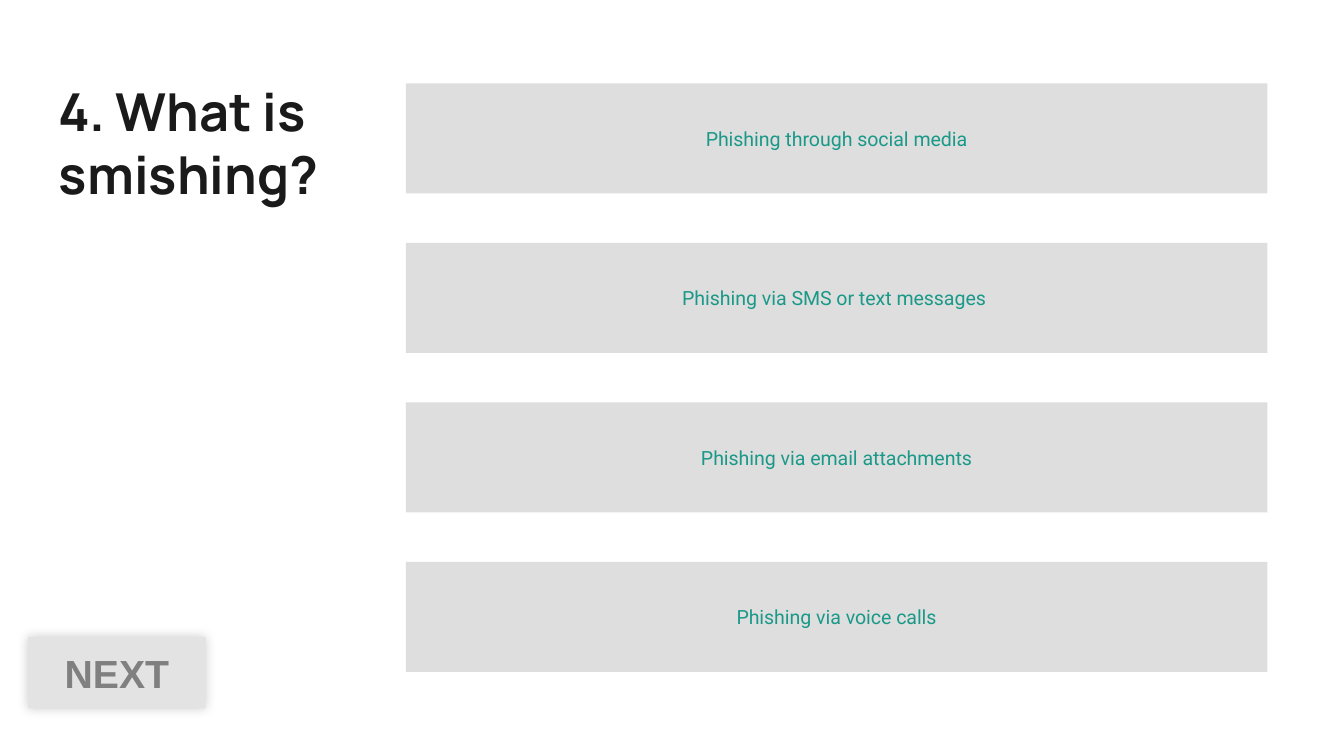
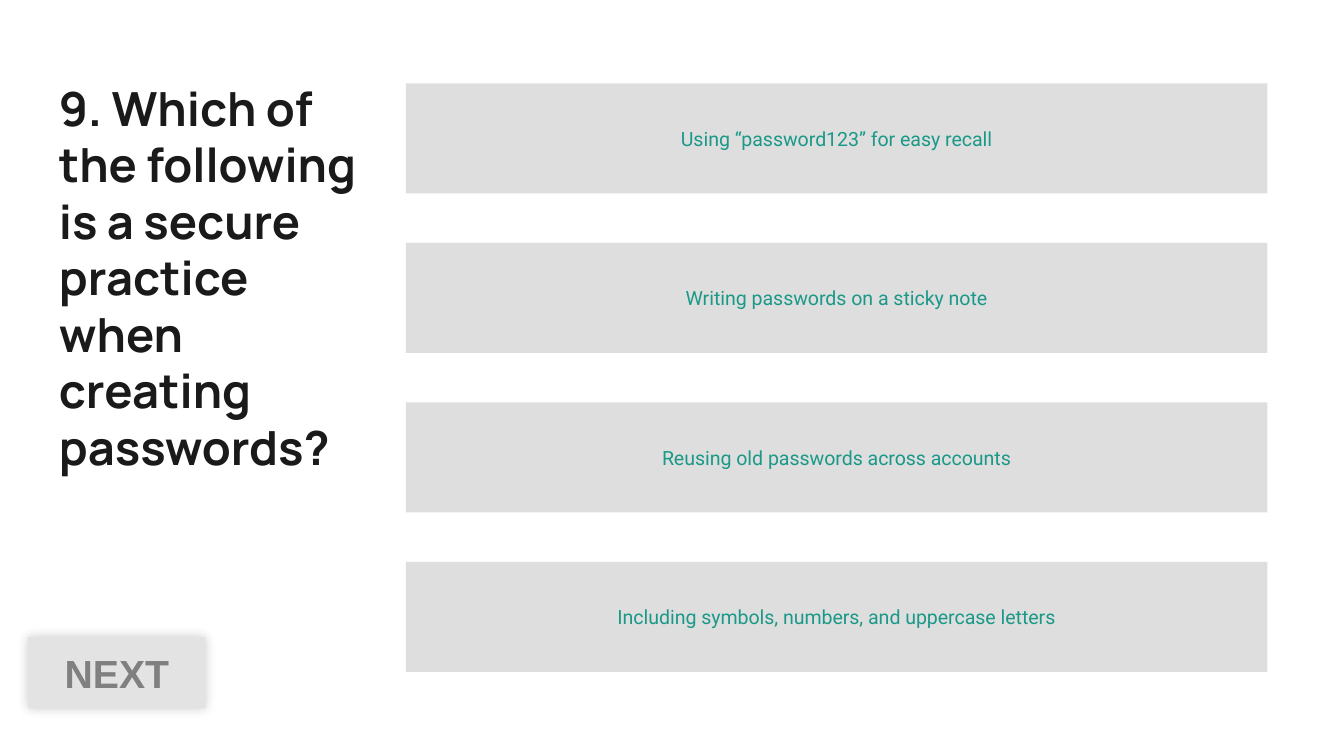
import pptx
import pptx.util
import pptx.dml.color
import pptx.enum.shapes
import pptx.enum.text
import pptx.oxml
import pptx.oxml.ns

Inches = pptx.util.Inches
RGBColor = pptx.dml.color.RGBColor
Align = pptx.enum.text.PP_ALIGN

INK = RGBColor(0x1A, 0x1A, 0x1A)
TEAL = RGBColor(0x1A, 0x99, 0x88)
ANSWER_GREY = RGBColor(0xDE, 0xDE, 0xDE)
BUTTON_GREY = RGBColor(0xE3, 0xE3, 0xE3)
BUTTON_TEXT = RGBColor(0x80, 0x80, 0x80)

ANSWER_TOP, LAST_ANSWER_TOP = 0.62, 4.18

# Question, title width, title size, answers from top to bottom
QUESTIONS = [
    ("4. What is smishing?", 2.32, 28, [
        "Phishing through social media",
        "Phishing via SMS or text messages ",
        "Phishing via email attachments",
        "Phishing via voice calls",
    ]),
    ("9. Which of the following is a secure practice when creating passwords?", 2.45, 25.2, [
        "Using “password123” for easy recall",
        "Writing passwords on a sticky note",
        "Reusing old passwords across accounts",
        "Including symbols, numbers, and uppercase letters",
    ]),
]

BUTTON_SHADOW = (
    '<a:outerShdw %s blurRad="76200" dist="0" dir="18900000" algn="ctr" rotWithShape="0">'
    '<a:srgbClr val="000000"><a:alpha val="20000"/></a:srgbClr></a:outerShdw>'
    % pptx.oxml.ns.nsdecls("a")
)


def write_text(box, text, font_name, size, color, bold=False, alignment=Align.CENTER):
    box.text_frame.text = text
    box.text_frame.word_wrap = True
    paragraph = box.text_frame.paragraphs[0]
    paragraph.alignment = alignment
    font = paragraph.runs[0].font
    font.name = font_name
    font.size = pptx.util.Pt(size)
    font.color.rgb = color
    font.bold = bold


def add_panel(page, left, top, width, height, fill):
    panel = page.shapes.add_shape(
        pptx.enum.shapes.MSO_SHAPE.RECTANGLE,
        Inches(left), Inches(top), Inches(width), Inches(height))
    panel.fill.solid()
    panel.fill.fore_color.rgb = fill
    panel.line.fill.background()
    panel.shadow.inherit = False
    panel.text_frame.vertical_anchor = pptx.enum.text.MSO_ANCHOR.MIDDLE
    return panel


deck = pptx.Presentation()
deck.slide_width = Inches(10)
deck.slide_height = Inches(10 * 9 / 16)

for question, title_width, title_size, answers in QUESTIONS:
    page = deck.slides.add_slide(deck.slide_layouts[6])

    # Question title
    title = page.shapes.add_textbox(
        Inches(0.34), Inches(0.49), Inches(title_width), Inches(3.88))
    write_text(title, question, "Manrope", title_size, INK, bold=True, alignment=Align.LEFT)
    frame = title.text_frame
    frame.margin_left = frame.margin_right = Inches(0.1)
    frame.margin_top = frame.margin_bottom = Inches(0.1)

    # Evenly spaced answers
    step = (LAST_ANSWER_TOP - ANSWER_TOP) / (len(answers) - 1)
    for row, answer in enumerate(answers):
        panel = add_panel(page, 3.02, ANSWER_TOP + row * step, 6.41, 0.82, ANSWER_GREY)
        write_text(panel, answer, "Roboto", 10.5, TEAL)

    # Next button with a soft shadow
    button = add_panel(page, 0.21, 4.74, 1.32, 0.53, BUTTON_GREY)
    write_text(button, "NEXT", "Arial", 21, BUTTON_TEXT, bold=True)
    effects = button._element.spPr.find(pptx.oxml.ns.qn("a:effectLst"))
    effects.append(pptx.oxml.parse_xml(BUTTON_SHADOW))

deck.save("out.pptx")
